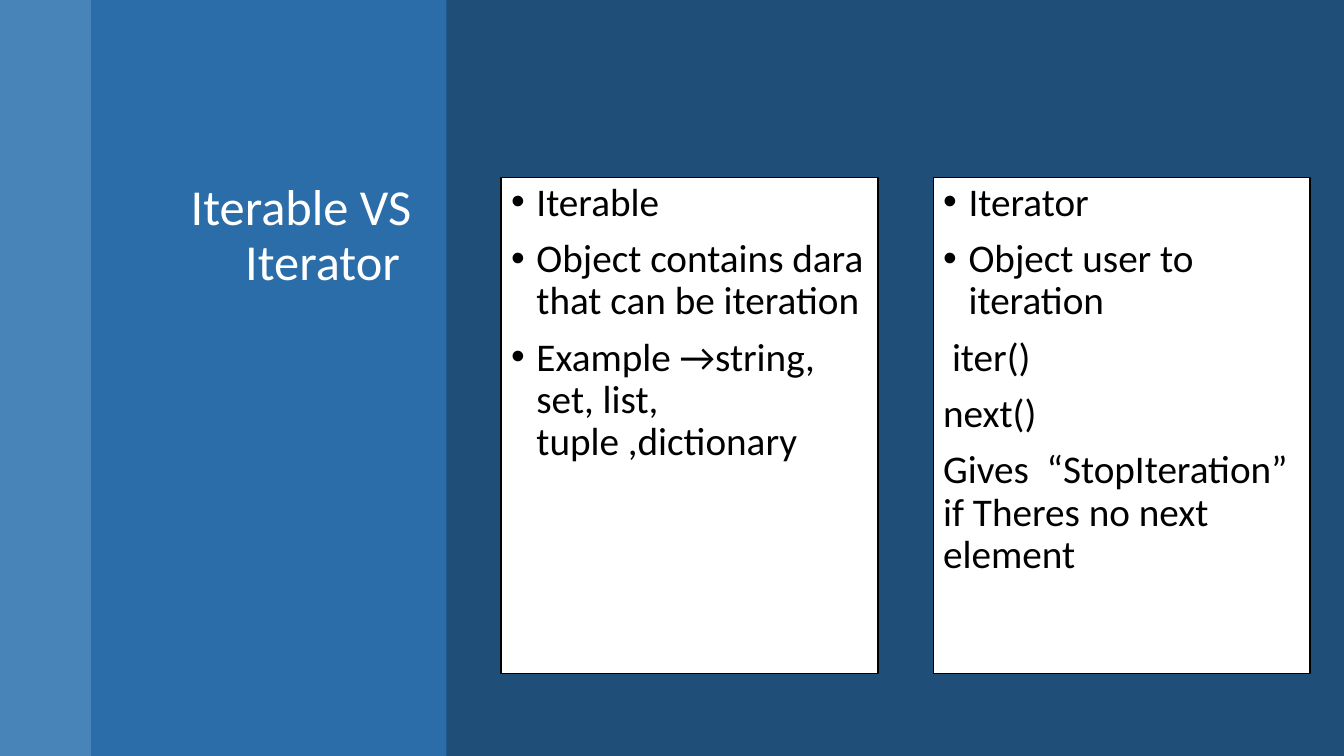
from lxml import etree
from pptx import Presentation
from pptx.dml.color import RGBColor
from pptx.enum.shapes import MSO_SHAPE
from pptx.enum.text import MSO_ANCHOR, PP_ALIGN
from pptx.oxml.ns import qn
from pptx.util import Cm, Pt

RECTANGLE = MSO_SHAPE.RECTANGLE
TOP = MSO_ANCHOR.TOP
LEFT, RIGHT = PP_ALIGN.LEFT, PP_ALIGN.RIGHT

NAVY = RGBColor(0x1F, 0x4E, 0x79)
LIGHT_BLUE = RGBColor(0x5B, 0x9B, 0xD5)
MID_BLUE = RGBColor(0x2E, 0x75, 0xB6)
WHITE = RGBColor(0xFF, 0xFF, 0xFF)
BLACK = RGBColor(0, 0, 0)

FONT = "Calibri"
SLIDE_HEIGHT = Cm(19.05)
CONTENT_TOP, CONTENT_HEIGHT = Cm(4.47), Cm(12.5)
PANEL_WIDTH = Cm(9.5)
BULLET_INDENT = Cm(0.64)

ITERABLE_LINES = [
    ("Iterable", True),
    ("Object contains dara that can be iteration", True),
    ("Example →string, set, list, tuple ,dictionary", True),
]
ITERATOR_LINES = [
    ("Iterator", True),
    ("Object user to iteration", True),
    (" iter()", False),
    ("next()", False),
    ("Gives  “StopIteration” if Theres no next element", False),
]


def add_band(slide, left, width, color, opacity):
    """Add a full-height translucent band, with opacity in percent."""
    band = slide.shapes.add_shape(RECTANGLE, left, 0, width, SLIDE_HEIGHT)
    band.shadow.inherit = False
    band.fill.solid()
    band.fill.fore_color.rgb = color
    band.line.fill.background()
    color_element = band.fill._xPr.find(qn("a:solidFill"))[0]
    etree.SubElement(color_element, qn("a:alpha"), val=str(opacity * 1000))


def add_text(paragraph, text, size, color, alignment):
    """Add one styled run to a paragraph."""
    paragraph.alignment = alignment
    paragraph.line_spacing = 0.9
    run = paragraph.add_run()
    run.text = text
    run.font.name = FONT
    run.font.size = Pt(size)
    run.font.color.rgb = color


def add_bullet(paragraph):
    """Give a paragraph a round bullet and a hanging indent."""
    properties = paragraph._p.get_or_add_pPr()
    properties.set("marL", str(BULLET_INDENT))
    properties.set("indent", str(-BULLET_INDENT))
    etree.SubElement(properties, qn("a:buFont"), typeface="Arial")
    etree.SubElement(properties, qn("a:buChar"), char="•")


def add_title(slide, text):
    """Add the right-aligned title, closed by a line break."""
    title = slide.shapes.add_textbox(Cm(2.77), CONTENT_TOP, Cm(7.85), CONTENT_HEIGHT)
    title.text_frame.word_wrap = True
    paragraph = title.text_frame.paragraphs[0]
    add_text(paragraph, text, 36, WHITE, RIGHT)
    paragraph.add_line_break()


def add_panel(slide, left, lines):
    """Add a white panel holding (text, bulleted) lines."""
    panel = slide.shapes.add_shape(
        RECTANGLE, left, CONTENT_TOP, PANEL_WIDTH, CONTENT_HEIGHT)
    panel.shadow.inherit = False
    panel.fill.solid()
    panel.fill.fore_color.rgb = WHITE
    panel.line.color.rgb = BLACK
    panel.line.width = Pt(1)
    frame = panel.text_frame
    frame.word_wrap = True
    frame.vertical_anchor = TOP
    for index, (text, bulleted) in enumerate(lines):
        paragraph = frame.add_paragraph() if index else frame.paragraphs[0]
        add_text(paragraph, text, 28, BLACK, LEFT)
        paragraph.space_before = Pt(10)
        if bulleted:
            add_bullet(paragraph)


def main():
    """Build the slide and save it."""
    presentation = Presentation()
    presentation.slide_width = Cm(33.87)
    presentation.slide_height = SLIDE_HEIGHT
    slide = presentation.slides.add_slide(presentation.slide_layouts[6])
    slide.background.fill.solid()
    slide.background.fill.fore_color.rgb = NAVY

    add_band(slide, 0, Cm(2.3), LIGHT_BLUE, 70)
    add_band(slide, Cm(2.3), Cm(8.95), MID_BLUE, 80)
    add_title(slide, "Iterable VS Iterator ")
    add_panel(slide, Cm(12.63), ITERABLE_LINES)
    add_panel(slide, Cm(23.52), ITERATOR_LINES)
    presentation.save("out.pptx")


if __name__ == "__main__":
    main()
